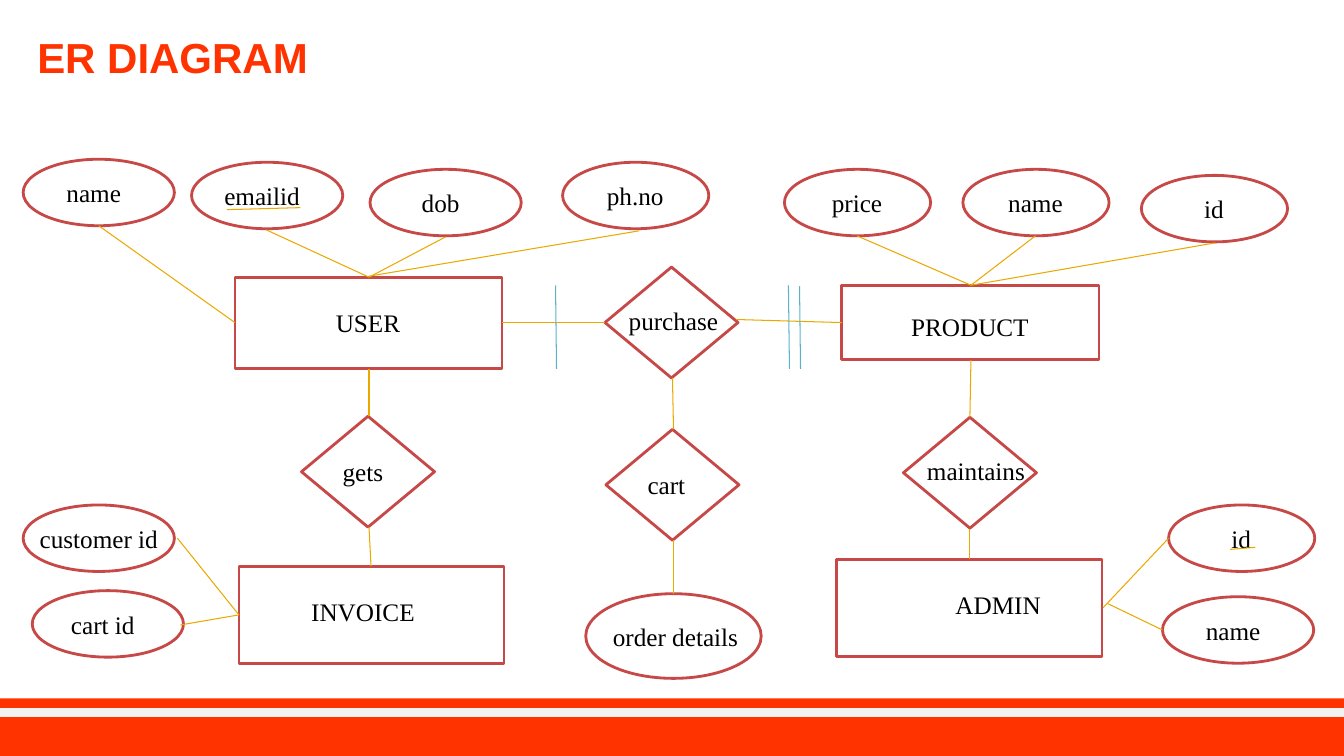
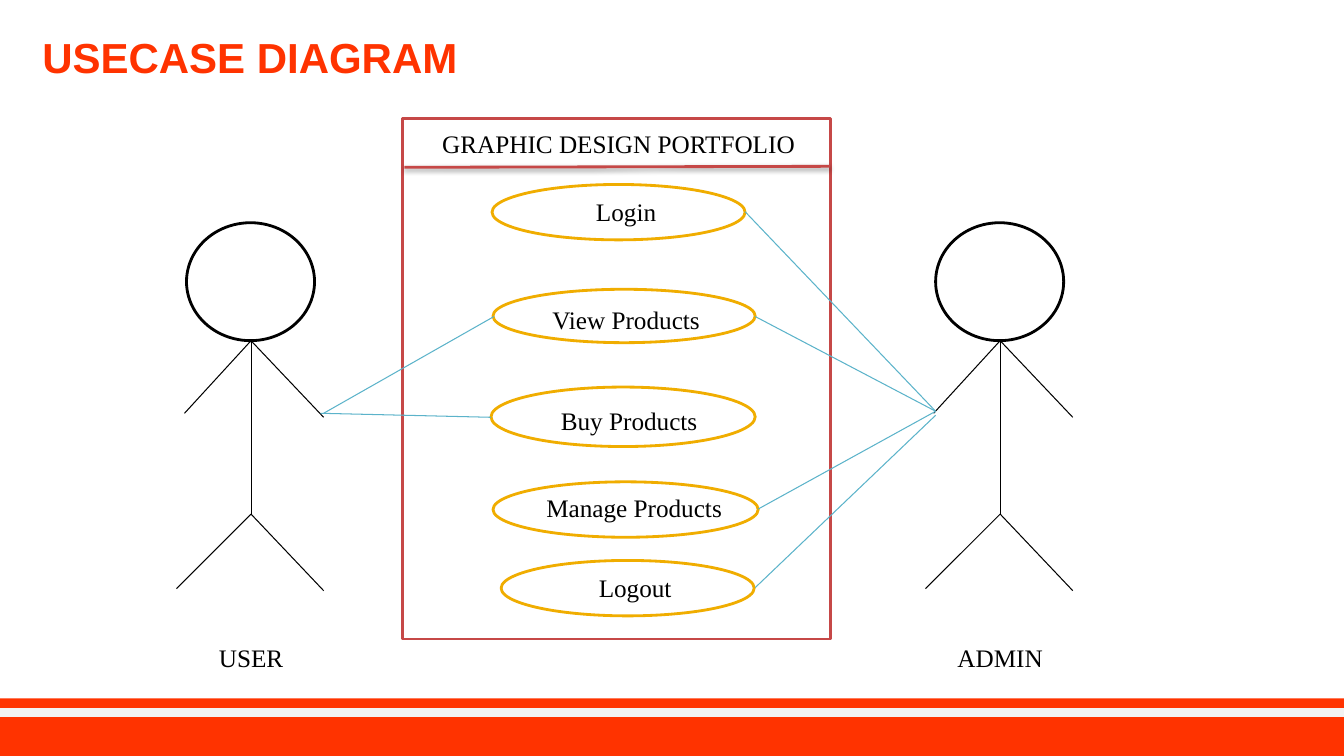
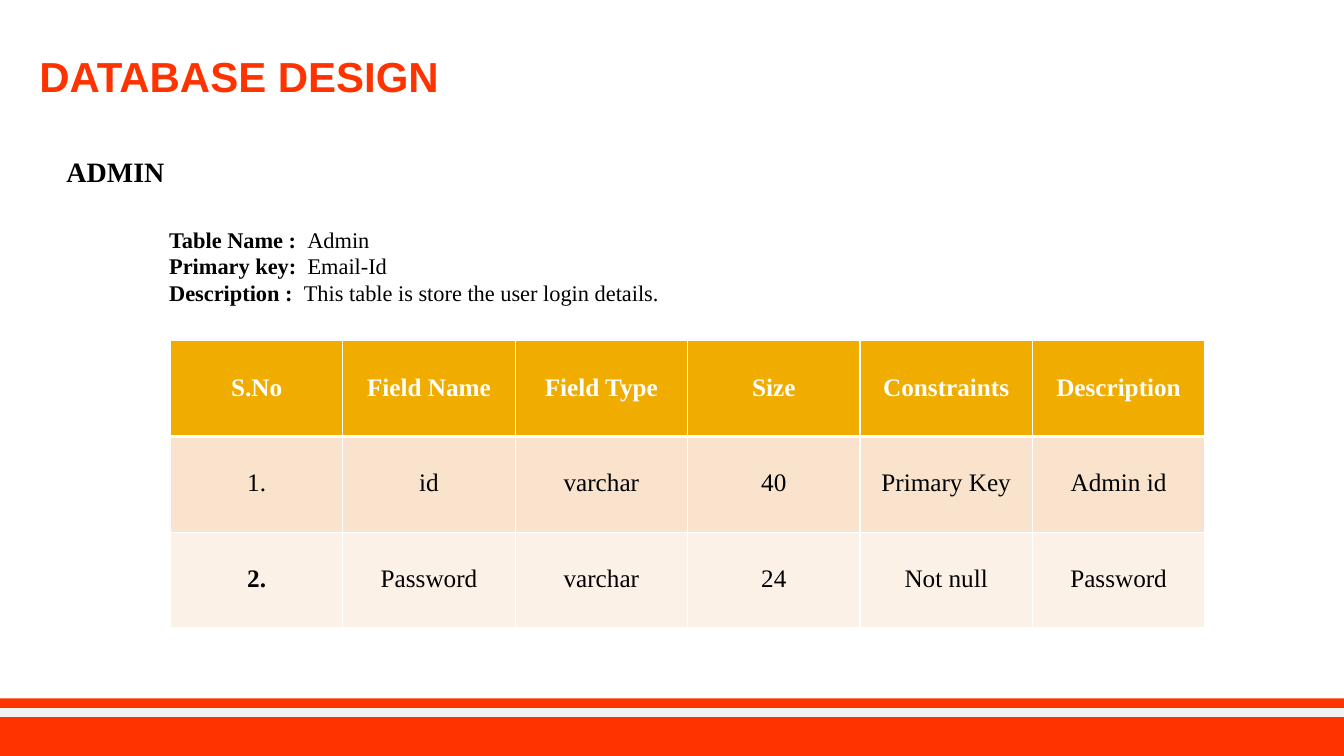
from dataclasses import dataclass

from lxml.etree import SubElement
from pptx import Presentation
from pptx.dml.color import RGBColor
from pptx.enum.shapes import MSO_CONNECTOR as Conn, MSO_SHAPE as Shape
from pptx.enum.text import MSO_ANCHOR as Anchor, PP_ALIGN as Align
from pptx.oxml.ns import qn
from pptx.util import Emu, Pt

PX = 9144  # 100 px to the inch
WIDE, HIGH = 1333, 750
SANS, SERIF = "Arial", "Times New Roman"
HUES = {
    "brand": "FF3300", "stripe": "F2F2F2", "red": "C64847", "gold": "F0AD00",
    "wire": "EBA900", "blue": "5BB3CA", "black": "000000", "white": "FFFFFF",
    "odd": "F9E3CC", "even": "FCF1E7",
}
Wire = tuple[int, int, int, int]


@dataclass(frozen=True)
class Node:
    """An outlined shape; dx and dy shift its label from its centre."""
    text: str
    x: int
    y: int
    w: int
    h: int
    dx: int = 0
    dy: int = 0
    kind: Shape = Shape.OVAL


def attr(text: str, x: int, y: int, w: int = 150) -> Node:
    """An attribute oval; the wide ones have their label set to the left."""
    return Node(text, x, y, w, 66, dx=-5 if w == 150 else 0)


def rhomb(text: str, x: int, y: int, dx: int, dy: int = 0) -> Node:
    return Node(text, x, y, 132, 110, dx, dy, Shape.DIAMOND)


def block(text: str, x: int, y: int, w: int, h: int, dx: int = 0, dy: int = 0) -> Node:
    return Node(text, x, y, w, h, dx, dy, Shape.RECTANGLE)


ER_NODES = [
    block("USER", 233, 275, 265, 91),
    block("PRODUCT", 835, 283, 255, 74, 0, 4),
    block("INVOICE", 237, 562, 263, 96, -8, -3),
    block("ADMIN", 830, 555, 263, 96, 29, -3),
    attr("name", 23, 158),
    attr("emailid", 190, 161),
    attr("dob", 367, 168),
    attr("ph.no", 558, 161, 145),
    attr("price", 778, 168, 145),
    attr("name", 955, 168, 145),
    attr("id", 1132, 174, 145),
    Node("customer id", 23, 501, 150, 66),
    attr("cart id", 32, 586),
    attr("id", 1159, 501, 145),
    attr("name", 1153, 592),
    Node("order details", 581, 589, 174, 84, 2),
    rhomb("purchase", 600, 265, 2, -2),
    rhomb("gets", 299, 413, -5),
    rhomb("cart", 601, 426, -6),
    rhomb("maintains", 896, 414, 6, -2),
]
ER_WIRES: list[Wire] = [
    (98, 224, 233, 320), (264, 228, 366, 275), (442, 235, 366, 275),
    (634, 229, 366, 274), (600, 320, 498, 320), (835, 320, 730, 317),
    (176, 534, 237, 610), (179, 620, 237, 610), (1094, 603, 1159, 534),
    (1099, 599, 1153, 625), (1205, 241, 963, 283), (1027, 234, 963, 283),
    (963, 283, 850, 234), (366, 413, 366, 366), (368, 562, 366, 523),
    (962, 414, 963, 357), (962, 555, 962, 525), (668, 426, 667, 375),
    (668, 589, 668, 536),
    (1220, 545, 1245, 543), (225, 208, 298, 206),
]
ER_BARS: list[Wire] = [
    (552, 366, 551, 283), (783, 366, 782, 283), (794, 366, 793, 284),
]
CASES = [
    Node("Login", 488, 183, 251, 55, 8),
    Node("View Products", 489, 287, 260, 53, 2, 4),
    Node("Buy Products", 487, 384, 262, 59, 6, 4),
    Node("Manage Products", 489, 478, 263, 55, 9, -2),
    Node("Logout", 497, 556, 251, 55, 8),
]
CASE_WIRES: list[Wire] = [
    (321, 410, 490, 314), (318, 410, 487, 414), (739, 210, 927, 407),
    (749, 314, 928, 408), (752, 505, 928, 408), (749, 583, 928, 412),
]
FACTS = [
    ("Table Name :  ", "Admin"),
    ("Primary key:  ", "Email-Id"),
    ("Description :  ", "This table is store the user login details."),
]
ROWS = [
    ["S.No", "Field Name", "Field Type", "Size", "Constraints", "Description"],
    ["1.", "id", "varchar", "40", "Primary Key", "Admin id"],
    ["2.", "Password", "varchar", "24", "Not null", "Password"],
]


def tint(hue: str) -> RGBColor:
    return RGBColor.from_string(HUES[hue])


def scale(*nums: int) -> list[Emu]:
    return [Emu(n * PX) for n in nums]


def style(run, size: int, hue: str = "black", bold: bool = False, face: str = SERIF) -> None:
    font = run.font
    font.name, font.size, font.bold = face, Pt(size), bold
    font.color.rgb = tint(hue)


def text_box(slide, x: int, y: int, w: int, h: int):
    frame = slide.shapes.add_textbox(*scale(x, y, w, h)).text_frame
    frame.word_wrap = True
    return frame


def label(slide, text: str, cx: int, cy: int, w: int = 210) -> None:
    """Centred text around a point."""
    frame = text_box(slide, cx - w // 2, cy - 20, w, 40)
    frame.vertical_anchor = Anchor.MIDDLE
    frame.text = text
    para = frame.paragraphs[0]
    para.alignment = Align.CENTER
    style(para.runs[0], 18)


def draw(slide, kind: Shape, x: int, y: int, w: int, h: int,
         edge: str | None = None, fill: str = "white") -> None:
    shape = slide.shapes.add_shape(kind, *scale(x, y, w, h))
    shape.shadow.inherit = False
    shape.fill.solid()
    shape.fill.fore_color.rgb = tint(fill)
    if edge:
        shape.line.color.rgb = tint(edge)
        shape.line.width = Pt(2)
    else:
        shape.line.fill.background()


def link(slide, ends: Wire, hue: str, width: float = 0.75, shade: bool = False) -> None:
    """A straight line, with a soft shadow below it if shade is set."""
    line = slide.shapes.add_connector(Conn.STRAIGHT, *scale(*ends))
    line.line.color.rgb = tint(hue)
    line.line.width = Pt(width)
    effects = SubElement(line._element.spPr, qn("a:effectLst"))
    if shade:
        outer = SubElement(effects, qn("a:outerShdw"), blurRad=str(Pt(3.1)),
                           dist=str(Pt(1.6)), dir="5400000", rotWithShape="0")
        black = SubElement(outer, qn("a:srgbClr"), val=HUES["black"])
        SubElement(black, qn("a:alpha"), val="38000")


def add_nodes(slide, nodes: list[Node], edge: str) -> None:
    for n in nodes:
        draw(slide, n.kind, n.x, n.y, n.w, n.h, edge)
        label(slide, n.text, n.x + n.w // 2 + n.dx, n.y + n.h // 2 + n.dy)


def add_page(deck, title: str, x: int, y: int = 18):
    """A blank slide with the footer band and a title."""
    slide = deck.slides.add_slide(deck.slide_layouts[6])
    draw(slide, Shape.RECTANGLE, 0, 693, WIDE + 1, 57, fill="brand")
    link(slide, (0, 707, WIDE + 1, 707), "stripe", 6)
    frame = text_box(slide, x, y, 1056, 83)
    frame.vertical_anchor = Anchor.MIDDLE
    frame.margin_left, frame.margin_right = scale(14, 14)
    frame.margin_top, frame.margin_bottom = scale(7, 7)
    frame.text = title
    para = frame.paragraphs[0]
    para.line_spacing = 0.9
    style(para.runs[0], 30, "brand", True, SANS)
    return slide


def add_actor(slide, name: str, cx: int) -> None:
    """A stick figure around a vertical axis."""
    neck, hip = 338, 510
    draw(slide, Shape.OVAL, cx - 64, 221, 127, 117, "black")
    limbs = [(neck, 0, hip), (neck, 72, 414), (neck, -66, 410),
             (hip, 72, 586), (hip, -74, 584)]
    for top, dx, end in limbs:
        link(slide, (cx, top, cx + dx, end), "black")
    label(slide, name, cx, 652)


def edge_cell(cell, low: float) -> None:
    """White borders; low is the width of the bottom one."""
    props = cell._tc.get_or_add_tcPr()
    for i, (side, width) in enumerate([("L", 1), ("R", 1), ("T", 1), ("B", low)]):
        line = props.makeelement(qn(f"a:ln{side}"), {"w": str(Pt(width))})
        fill = SubElement(line, qn("a:solidFill"))
        SubElement(fill, qn("a:srgbClr"), val=HUES["white"])
        props.insert(i, line)


def add_grid(slide, x: int, y: int, w: int, h: int) -> None:
    """The field table, with columns w wide and rows h high."""
    rows, cols = len(ROWS), len(ROWS[0])
    grid = slide.shapes.add_table(rows, cols, *scale(x, y, w * cols, h * rows)).table
    grid.first_row = grid.horz_banding = False
    for r, (row, fill) in enumerate(zip(ROWS, ["gold", "odd", "even"])):
        for c, text in enumerate(row):
            cell = grid.cell(r, c)
            cell.fill.solid()
            cell.fill.fore_color.rgb = tint(fill)
            edge_cell(cell, 1 if r else 3)
            cell.vertical_anchor = Anchor.MIDDLE
            cell.text_frame.text = text
            para = cell.text_frame.paragraphs[0]
            para.alignment, para.line_spacing = Align.CENTER, 0.9
            style(para.runs[0], 18, "black" if r else "white", r == 0 or text == "2.")


def er_page(deck) -> None:
    slide = add_page(deck, "ER DIAGRAM", 23)
    add_nodes(slide, ER_NODES, "red")
    for ends in ER_WIRES:
        link(slide, ends, "wire")
    for ends in ER_BARS:
        link(slide, ends, "blue")


def case_page(deck) -> None:
    slide = add_page(deck, "USECASE DIAGRAM", 28)
    add_actor(slide, "USER", 249)
    add_actor(slide, "ADMIN", 992)
    draw(slide, Shape.RECTANGLE, 399, 118, 425, 516, "red")
    add_nodes(slide, CASES, "gold")
    for ends in CASE_WIRES:
        link(slide, ends, "blue")
    link(slide, (401, 166, 823, 165), "red", 2, shade=True)
    label(slide, "GRAPHIC DESIGN PORTFOLIO", 613, 142, 401)


def data_page(deck) -> None:
    slide = add_page(deck, "DATABASE DESIGN", 25, 37)
    head = text_box(slide, 56, 148, 170, 44)
    head.text = "ADMIN"
    style(head.paragraphs[0].runs[0], 20, bold=True)
    facts = text_box(slide, 158, 219, 740, 91)
    for i, pair in enumerate(FACTS):
        para = facts.add_paragraph() if i else facts.paragraphs[0]
        for text, bold in zip(pair, (True, False)):
            run = para.add_run()
            run.text = text
            style(run, 16, bold=bold)
    add_grid(slide, 169, 338, 171, 95)


def main() -> None:
    deck = Presentation()
    deck.slide_width, deck.slide_height = scale(WIDE, HIGH)
    er_page(deck)
    case_page(deck)
    data_page(deck)
    deck.save("out.pptx")


if __name__ == "__main__":
    main()
